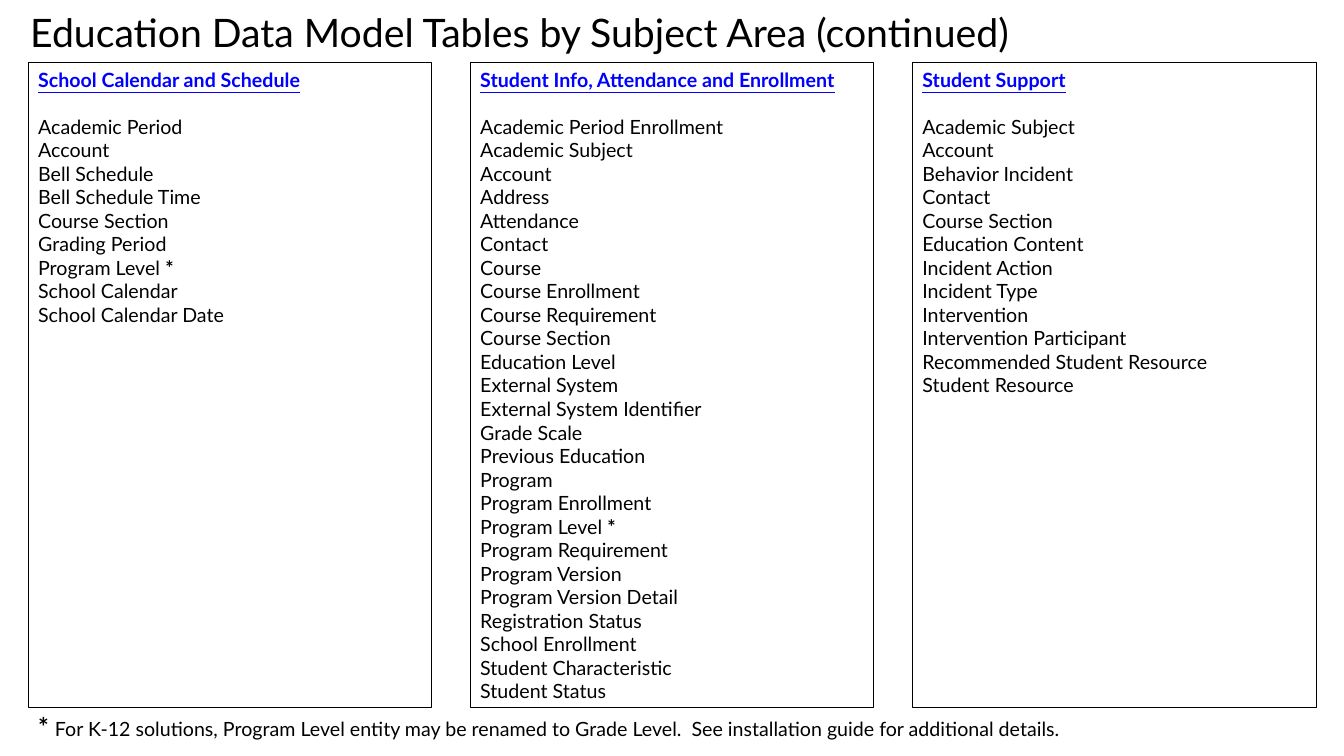
from pptx import Presentation
from pptx.dml.color import RGBColor
from pptx.enum import shapes, text
from pptx.util import Inches, Pt

BLACK, LINK_BLUE = "000000", "0000FF"
LINE_HEIGHT = 16.8  # one 14 pt line

SUBJECT_AREAS = {
    "School Calendar and Schedule": [
        "Academic Period", "Account", "Bell Schedule", "Bell Schedule Time",
        "Course Section", "Grading Period", "Program Level *",
        "School Calendar", "School Calendar Date"],
    "Student Info, Attendance and Enrollment": [
        "Academic Period Enrollment", "Academic Subject", "Account", "Address",
        "Attendance", "Contact", "Course", "Course Enrollment",
        "Course Requirement", "Course Section", "Education Level",
        "External System", "External System Identifier", "Grade Scale",
        "Previous Education", "Program", "Program Enrollment",
        "Program Level *", "Program Requirement", "Program Version",
        "Program Version Detail", "Registration Status", "School Enrollment",
        "Student Characteristic", "Student Status"],
    "Student Support": [
        "Academic Subject", "Account", "Behavior Incident", "Contact",
        "Course Section", "Education Content", "Incident Action",
        "Incident Type", "Intervention", "Intervention Participant",
        "Recommended Student Resource", "Student Resource"],
}


def colour(hex_string):
    return RGBColor.from_string(hex_string)


def add_run(paragraph, words, size=14, ink=BLACK, **styles):
    run = paragraph.add_run()
    run.text = words
    run.font.color.rgb = colour(ink)
    formats = {"name": "Lato", "size": Pt(size), "bold": False, **styles}
    for attribute, value in formats.items():
        setattr(run.font, attribute, value)


def add_title(slide, left, top, width, height):
    title = slide.shapes.title
    box = {"left": left, "top": top, "width": width, "height": height}
    for attribute, value in box.items():
        setattr(title, attribute, Inches(value))
    title.text_frame.vertical_anchor = text.MSO_ANCHOR.MIDDLE
    heading = title.text_frame.paragraphs[0]
    heading.alignment = text.PP_ALIGN.LEFT
    heading.line_spacing = 0.9
    add_run(heading, "Education Data Model Tables by Subject Area (continued)", 28)


def add_subject_area(slide, left, top, width, height, area, tables):
    panel = slide.shapes.add_shape(
        shapes.MSO_SHAPE.RECTANGLE, *map(Inches, (left, top, width, height)))
    panel.shadow.inherit = False
    panel.fill.background()
    panel.line.color.rgb = colour(BLACK)
    panel.line.width = Pt(0.25)
    frame = panel.text_frame
    frame.word_wrap = True
    frame.vertical_anchor = text.MSO_ANCHOR.TOP

    # Underlined area name, one line of space below
    heading = frame.paragraphs[0]
    heading.alignment = text.PP_ALIGN.LEFT
    heading.space_after = Pt(LINE_HEIGHT)
    add_run(heading, area, ink=LINK_BLUE, bold=True, underline=True)

    # Table names, with a bold asterisk where marked
    for table in tables:
        entry = frame.add_paragraph()
        entry.alignment = text.PP_ALIGN.LEFT
        name, asterisk, _ = table.partition("*")
        add_run(entry, name)
        if asterisk:
            add_run(entry, asterisk, bold=True)


def add_footnote(slide, left, top, width, height):
    footnote = slide.shapes.add_textbox(*map(Inches, (left, top, width, height)))
    footnote.text_frame.word_wrap = True
    note = footnote.text_frame.paragraphs[0]
    add_run(note, "* ", 18, bold=True)
    add_run(note, "For K-12 solutions, Program Level entity may be renamed to "
                  "Grade Level.  See installation guide for additional details.")


def build_subject_area_slide(deck):
    slide = deck.slides.add_slide(deck.slide_layouts[5])
    add_title(slide, 0.2, 0, 12.85, 0.7)
    left, width, pitch = 0.28, 4, 4.385
    for column, (area, tables) in enumerate(SUBJECT_AREAS.items()):
        add_subject_area(slide, left + column * pitch, 0.62, width, 6.4, area, tables)
    add_footnote(slide, left, 7.01, 12.46, 0.48)


deck = Presentation()
deck.slide_width, deck.slide_height = Inches(13.33), Inches(7.5)
build_subject_area_slide(deck)
deck.save("out.pptx")
